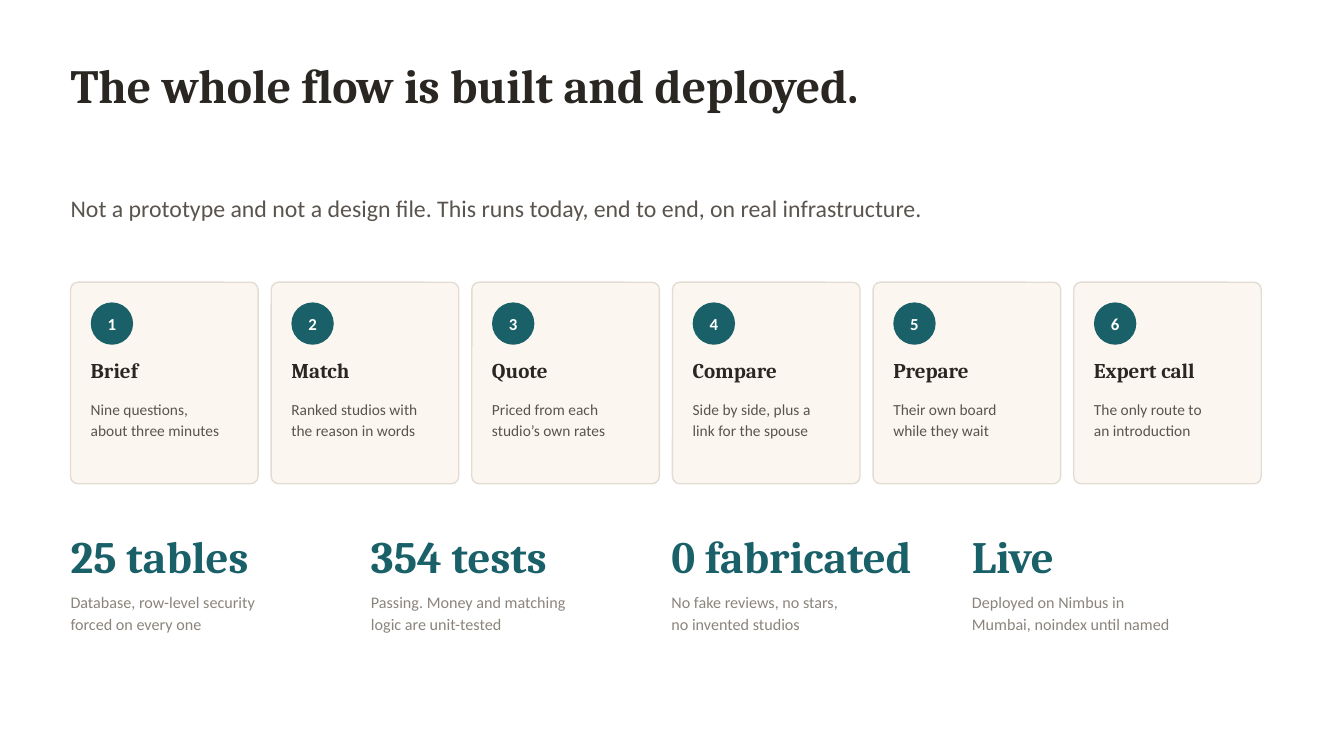
from lxml import etree
from pptx import Presentation
from pptx.dml.color import RGBColor
from pptx.enum.shapes import MSO_SHAPE
from pptx.enum.text import MSO_ANCHOR, MSO_AUTO_SIZE, PP_ALIGN
from pptx.oxml.ns import qn
from pptx.util import Inches, Pt

COLORS = {
    "ink": "2A2622", "body": "5A544E", "muted": "8B847C", "teal": "1A6068",
    "card": "FBF7F0", "border": "E3DCD2", "white": "FFFFFF",
}
HEADING, BODY = "Cambria", "Calibri"
LEFT = 0.7

STEPS = [
    ("Brief", ["Nine questions,", "about three minutes"]),
    ("Match", ["Ranked studios with", "the reason in words"]),
    ("Quote", ["Priced from each", "studio’s own rates"]),
    ("Compare", ["Side by side, plus a", "link for the spouse"]),
    ("Prepare", ["Their own board", "while they wait"]),
    ("Expert call", ["The only route to", "an introduction"]),
]
STATS = [
    ("25 tables", ["Database, row-level security", "forced on every one"]),
    ("354 tests", ["Passing. Money and matching", "logic are unit-tested"]),
    ("0 fabricated", ["No fake reviews, no stars,", "no invented studios"]),
    ("Live", ["Deployed on Nimbus in", "Mumbai, noindex until named"]),
]


class SlideBuilder:
    """Holds the style and the current slide."""

    def __init__(self, slide):
        """Keep the slide that receives the elements."""
        self.slide = slide

    def set_text(self, shape, lines, size, color, font=BODY, bold=False,
                 spacing=1.0, anchor=MSO_ANCHOR.TOP, align=PP_ALIGN.LEFT):
        """Fill a shape with one formatted paragraph per line."""
        frame = shape.text_frame
        frame.word_wrap = True
        frame.auto_size = MSO_AUTO_SIZE.NONE
        frame.vertical_anchor = anchor
        frame.margin_left = frame.margin_right = 0
        frame.margin_top = frame.margin_bottom = 0
        frame.text = "\n".join(lines)
        for paragraph in frame.paragraphs:
            paragraph.alignment = align
            paragraph.line_spacing = spacing
            paragraph.space_before = Pt(0)
            run_font = paragraph.runs[0].font
            run_font.name, run_font.size, run_font.bold = font, Pt(size), bold
            run_font.color.rgb = RGBColor.from_string(COLORS[color])

    def placeholder(self, index, box, text, size, color, **style):
        """Move a template placeholder and set plain text without a bullet."""
        shape = self.slide.placeholders[index]
        shape.left, shape.top, shape.width, shape.height = map(Inches, box)
        self.set_text(shape, [text], size, color, **style)
        properties = shape.text_frame.paragraphs[0]._p.get_or_add_pPr()
        properties.set("marL", "0")
        properties.set("indent", "0")
        etree.SubElement(properties, qn("a:buNone"))

    def text(self, box, lines, size, color, **style):
        """Add a text box."""
        shape = self.slide.shapes.add_textbox(*map(Inches, box))
        self.set_text(shape, lines, size, color, **style)

    def shape(self, kind, box, fill, line=None):
        """Add a flat preset shape, outlined only if a line colour is given."""
        shape = self.slide.shapes.add_shape(kind, *map(Inches, box))
        shape.shadow.inherit = False
        shape.fill.solid()
        shape.fill.fore_color.rgb = RGBColor.from_string(COLORS[fill])
        if line:
            shape.line.color.rgb = RGBColor.from_string(COLORS[line])
            shape.line.width = Pt(1)
        else:
            shape.line.fill.background()
        return shape

    def step_card(self, left, number, name, lines):
        """Add a card with a numbered badge, a name and a description."""
        card = self.shape(MSO_SHAPE.ROUNDED_RECTANGLE, (left, 2.8, 1.86, 2),
                          "card", "border")
        card.adjustments[0] = 0.04
        inner = left + 0.2
        badge = self.shape(MSO_SHAPE.OVAL, (inner, 3, 0.42, 0.42), "teal")
        self.set_text(badge, [str(number)], 12, "white", bold=True,
                      anchor=MSO_ANCHOR.MIDDLE, align=PP_ALIGN.CENTER)
        self.text((inner, 3.55, 1.46, 0.36), [name], 15, "ink",
                  font=HEADING, bold=True)
        self.text((inner, 3.94, 1.46, 0.78), lines, 11, "body", spacing=1.15)

    def stat(self, left, figure, lines):
        """Add a large figure with its caption."""
        self.text((left, 5.15, 2.9, 0.72), [figure], 32, "teal",
                  font=HEADING, bold=True, anchor=MSO_ANCHOR.MIDDLE)
        self.text((left, 5.85, 2.9, 0.62), lines, 11.5, "muted", spacing=1.15)


def main():
    """Build and save the slide."""
    deck = Presentation()
    deck.slide_width, deck.slide_height = Inches(13.33), Inches(7.5)
    builder = SlideBuilder(deck.slides.add_slide(deck.slide_layouts[1]))

    builder.placeholder(0, (LEFT, 0.55, 11.93, 0.95),
                        "The whole flow is built and deployed.",
                        34, "ink", font=HEADING, bold=True)
    builder.placeholder(1, (LEFT, 1.6, 11.4, 0.85),
                        "Not a prototype and not a design file. "
                        "This runs today, end to end, on real infrastructure.",
                        17, "body", spacing=1.25, anchor=MSO_ANCHOR.MIDDLE)
    for index, (name, lines) in enumerate(STEPS):
        builder.step_card(LEFT + index * 1.99, index + 1, name, lines)
    for index, (figure, lines) in enumerate(STATS):
        builder.stat(LEFT + index * 2.98, figure, lines)

    deck.save("out.pptx")


main()
